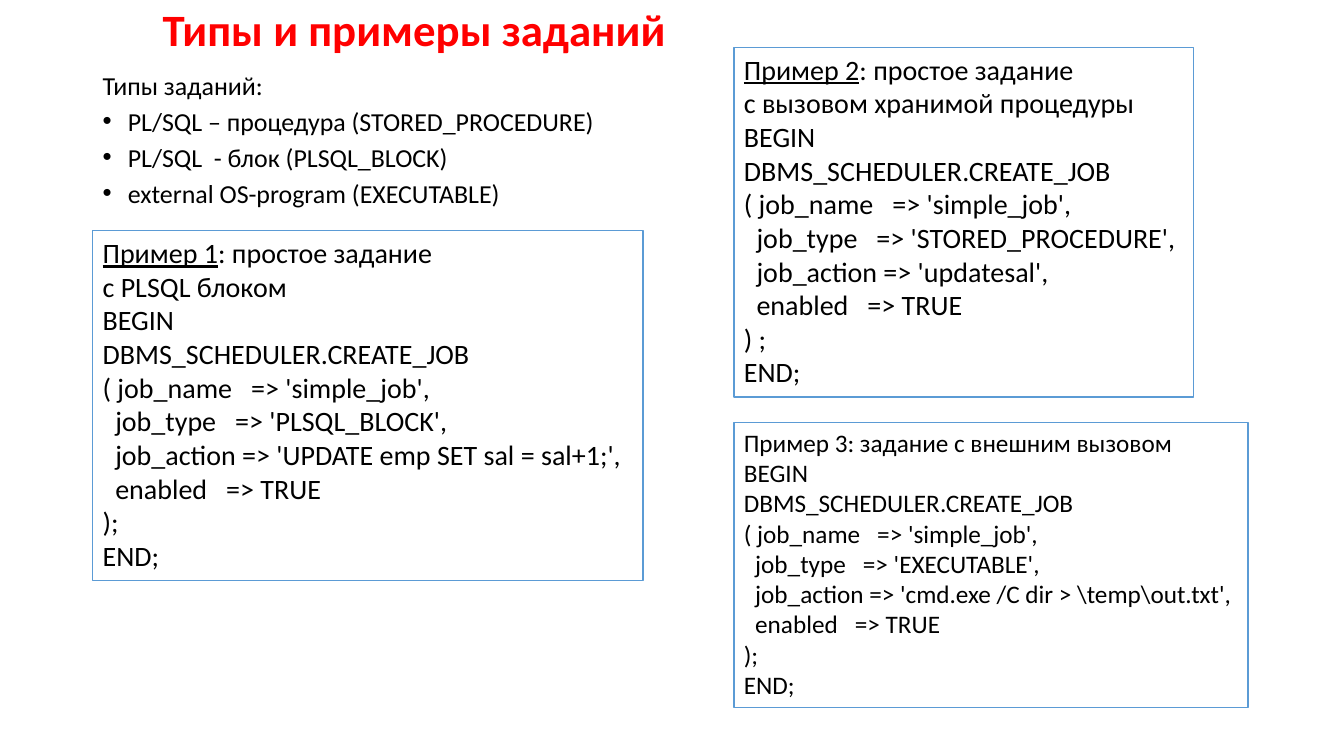
import pptx
import pptx.util
import pptx.dml.color
import pptx.enum.shapes
import pptx.enum.text
import lxml.etree
from pptx.oxml.ns import qn

Pt = pptx.util.Pt
RED = pptx.dml.color.RGBColor(0xFF, 0x00, 0x00)
BLACK = pptx.dml.color.RGBColor(0x00, 0x00, 0x00)
BLUE = pptx.dml.color.RGBColor(0x5B, 0x9B, 0xD5)
ANCHOR = pptx.enum.text.MSO_ANCHOR
ALIGN = pptx.enum.text.PP_ALIGN
FIT = pptx.enum.text.MSO_AUTO_SIZE

WIDTH = pptx.util.Inches(13.33)
HEIGHT = pptx.util.Inches(7.5)
LEFT_COLUMN = 6.9
RIGHT_COLUMN = 54.61

JOB_TYPES = [
    "PL/SQL – процедура (STORED_PROCEDURE)",
    "PL/SQL  - блок (PLSQL_BLOCK)",
    "external OS-program (EXECUTABLE)",
]

EXAMPLES = [
    dict(box=(LEFT_COLUMN, 30.53, 40.96, 46.27), size=20, underline=True, wrap=True,
         label="Пример 1", rest=[": простое задание", "с PLSQL блоком"],
         job_type="PLSQL_BLOCK", action="UPDATE emp SET sal = sal+1;", closing=");"),
    dict(box=(RIGHT_COLUMN, 6.27, 34.21, 46.27), size=20, underline=True, wrap=True,
         label="Пример 2", rest=[": простое задание", "с вызовом хранимой процедуры"],
         job_type="STORED_PROCEDURE", action="updatesal", closing=") ;"),
    dict(box=(RIGHT_COLUMN, 55.87, 38.26, 37.73), size=18, underline=None, wrap=False,
         label="Пример 3", rest=[": задание с внешним вызовом"],
         job_type="EXECUTABLE", action="cmd.exe /C dir > \\temp\\out.txt", closing=");"),
]


def place(box):
    left, top, width, height = box
    return [int(WIDTH * left / 100), int(HEIGHT * top / 100),
            int(WIDTH * width / 100), int(HEIGHT * height / 100)]


def apply(target, formats):
    for name, value in formats.items():
        setattr(target, name, value)


def write(paragraph, text, size, color=BLACK, **formats):
    run = paragraph.add_run()
    run.text = text
    apply(run.font, dict(name="Calibri", size=Pt(size), **formats))
    run.font.color.rgb = color


def paragraphs(frame, count):
    return [frame.paragraphs[0]] + [frame.add_paragraph() for _ in range(count - 1)]


def add_title(slide, box):
    frame = slide.shapes.add_textbox(*place(box)).text_frame
    apply(frame, dict(word_wrap=True, vertical_anchor=ANCHOR.MIDDLE))
    title = frame.paragraphs[0]
    apply(title, dict(alignment=ALIGN.CENTER, line_spacing=0.9))
    write(title, "Типы и примеры заданий", 32, RED, bold=True)


def add_bullet(paragraph):
    properties = paragraph._p.get_or_add_pPr()
    indent = pptx.util.Inches(0.25)
    properties.set("marL", str(indent))
    properties.set("indent", str(-indent))
    lxml.etree.SubElement(properties, qn("a:buFont"), typeface="Arial")
    lxml.etree.SubElement(properties, qn("a:buChar"), char="•")


def add_job_types(slide, box):
    frame = slide.shapes.add_textbox(*place(box)).text_frame
    frame.word_wrap = True
    lines = ["Типы заданий:"] + JOB_TYPES
    for number, paragraph in enumerate(paragraphs(frame, len(lines))):
        apply(paragraph, dict(line_spacing=0.7, space_before=Pt(10)))
        if number:
            add_bullet(paragraph)
        write(paragraph, lines[number], 18.5)


def add_example(slide, box, size, underline, wrap, label, rest, job_type, action, closing):
    panel = slide.shapes.add_shape(pptx.enum.shapes.MSO_SHAPE.RECTANGLE, *place(box))
    panel.shadow.inherit = False
    panel.fill.background()
    panel.line.color.rgb = BLUE
    panel.line.width = Pt(1)
    frame = panel.text_frame
    apply(frame, dict(word_wrap=wrap, vertical_anchor=ANCHOR.TOP,
                      auto_size=FIT.SHAPE_TO_FIT_TEXT))
    lines = rest + [
        "BEGIN",
        "DBMS_SCHEDULER.CREATE_JOB",
        "( job_name   => 'simple_job',",
        f"  job_type   => '{job_type}',",
        f"  job_action => '{action}',",
        "  enabled   => TRUE",
        closing,
        "END;",
    ]
    code = paragraphs(frame, len(lines))
    write(code[0], label, size, underline=underline)
    for paragraph, line in zip(code, lines):
        paragraph.alignment = ALIGN.LEFT
        write(paragraph, line, size)


def main():
    deck = pptx.Presentation()
    apply(deck, dict(slide_width=WIDTH, slide_height=HEIGHT))
    slide = deck.slides.add_slide(deck.slide_layouts[6])
    add_title(slide, (LEFT_COLUMN, 0, 47.86, 8.53))
    add_job_types(slide, (LEFT_COLUMN, 9.73, 41.94, 19.6))
    for example in EXAMPLES:
        add_example(slide, **example)
    deck.save("out.pptx")


if __name__ == "__main__":
    main()
